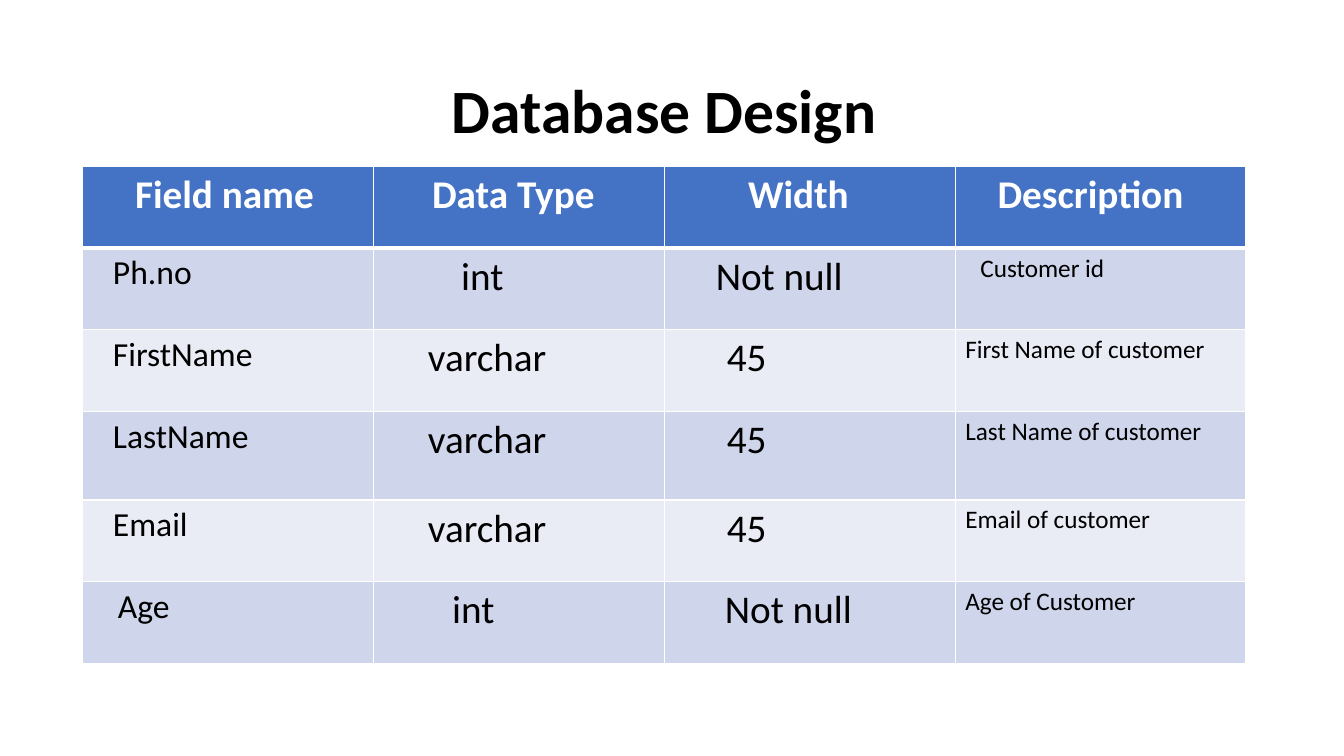
from lxml import etree
from pptx import Presentation
from pptx.dml.color import RGBColor
from pptx.enum.text import MSO_ANCHOR, PP_ALIGN
from pptx.oxml.ns import qn
from pptx.util import Inches, Pt

CENTER = PP_ALIGN.CENTER
MIDDLE = MSO_ANCHOR.MIDDLE
FONT = "Calibri"
COLORS = {"head": "4472C4", "odd": "CFD5EA", "even": "E9EBF5",
          "line": "FFFFFF", "light": "FFFFFF", "dark": "000000"}

# Each cell holds its text and its left indent in inches.
ROWS = [
    [("Field name", 0.52), ("Data Type", 0.58), ("Width", 0.83), ("Description", 0.42)],
    [("Ph.no", 0.3), ("int", 0.87), ("Not null", 0.51), ("Customer id", 0.25)],
    [("FirstName", 0.3), ("varchar", 0.54), ("45", 0.62), ("First Name of customer", 0.1)],
    [("LastName", 0.3), ("varchar", 0.54), ("45", 0.62), ("Last Name of customer", 0.1)],
    [("Email", 0.3), ("varchar", 0.54), ("45", 0.62), ("Email of customer", 0.1)],
    [("Age", 0.35), ("int", 0.78), ("Not null", 0.6), ("Age of Customer", 0.1)],
]
HEIGHTS = [0.81, 0.81, 0.81, 0.88, 0.81, 0.81]
HEAD_SIZE = 28
SIZES = [24, 28, 28, 18]


def rgb(name):
    return RGBColor.from_string(COLORS[name])


def style(par, size, color, bold):
    for run in par.runs:
        font = run.font
        font.name, font.size, font.bold = FONT, Pt(size), bold
        font.color.rgb = rgb(color)


def add_title(slide, left, top, width, height):
    title = slide.shapes.title
    title.left, title.top = Inches(left), Inches(top)
    title.width, title.height = Inches(width), Inches(height)
    frame = title.text_frame
    frame.text = "Database Design"
    frame.vertical_anchor = MIDDLE
    par = frame.paragraphs[0]
    par.alignment, par.line_spacing = CENTER, 0.9
    style(par, 44, "dark", True)


def set_borders(cell, top, bottom):
    """Draw the four cell edges; side edges are one point wide."""
    props = cell._tc.get_or_add_tcPr()
    for side, width in (("L", 1), ("R", 1), ("T", top), ("B", bottom)):
        line = etree.SubElement(props, qn(f"a:ln{side}"), w=str(Pt(width)))
        fill = etree.SubElement(line, qn("a:solidFill"))
        etree.SubElement(fill, qn("a:srgbClr"), val=COLORS["line"])


def fill_cell(cell, text, indent, row, col):
    head = row == 0
    set_borders(cell, 3 if row == 1 else 1, 3 if head else 1)
    cell.fill.solid()
    cell.fill.fore_color.rgb = rgb("head" if head else "odd" if row % 2 else "even")
    cell.margin_left = Inches(indent)
    cell.text_frame.text = text
    style(cell.text_frame.paragraphs[0], HEAD_SIZE if head else SIZES[col],
          "light" if head else "dark", head)


def add_fields(slide, left, top, width):
    """Add the table of database fields."""
    count = len(ROWS[0])
    table = slide.shapes.add_table(
        len(ROWS), count, Inches(left), Inches(top),
        Inches(width), Inches(sum(HEIGHTS))).table
    for col in table.columns:
        col.width = Inches(width / count)
    for row, cells in enumerate(ROWS):
        table.rows[row].height = Inches(HEIGHTS[row])
        for col, (text, indent) in enumerate(cells):
            fill_cell(table.cell(row, col), text, indent, row, col)


def main():
    prs = Presentation()
    prs.slide_width, prs.slide_height = Inches(13.33), Inches(7.5)
    slide = prs.slides.add_slide(prs.slide_layouts[5])
    add_title(slide, 0.84, 0.4, 11.5, 1.45)
    add_fields(slide, 0.82, 1.65, 11.54)
    prs.save("out.pptx")


if __name__ == "__main__":
    main()
